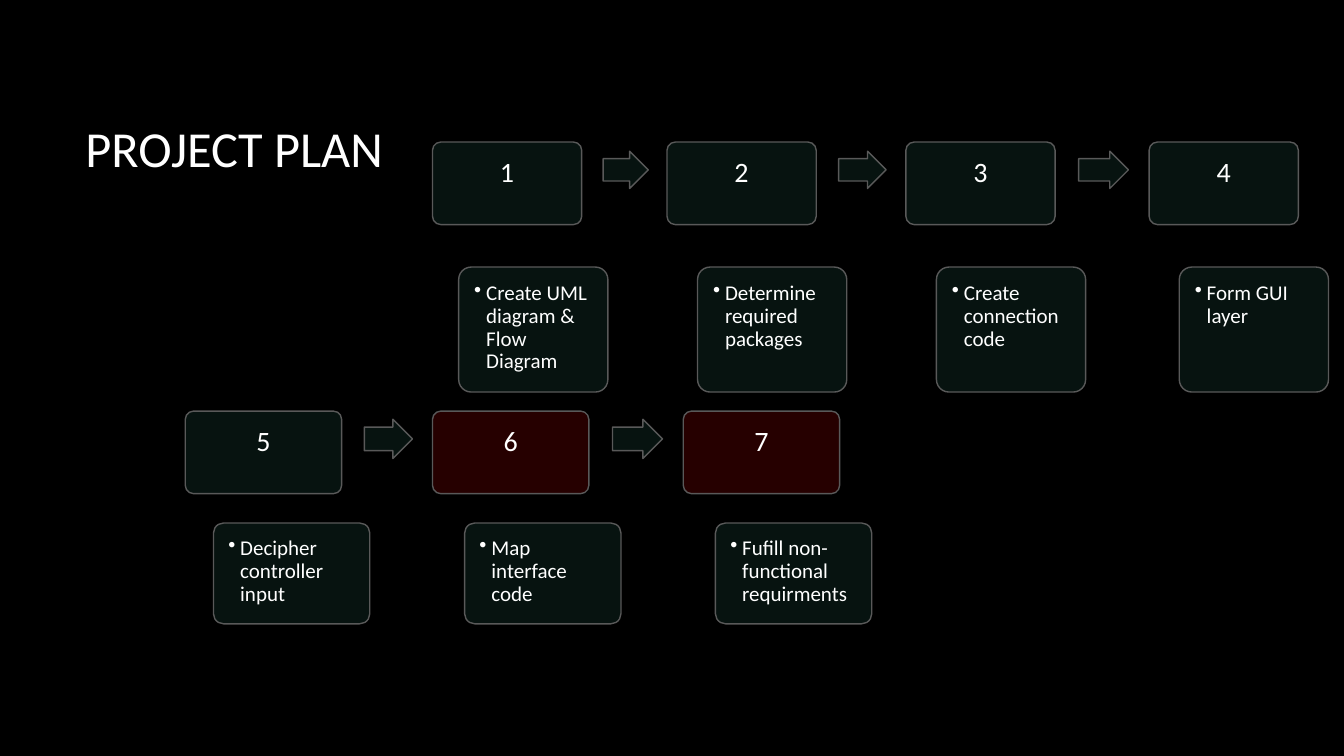
from lxml import etree
from pptx import Presentation
from pptx.dml.color import RGBColor
from pptx.enum.shapes import MSO_SHAPE
from pptx.enum.text import MSO_ANCHOR, PP_ALIGN
from pptx.oxml.ns import qn
from pptx.util import Cm, Pt

ROUNDED, ARROW = MSO_SHAPE.ROUNDED_RECTANGLE, MSO_SHAPE.RIGHT_ARROW
TOP, MIDDLE = MSO_ANCHOR.TOP, MSO_ANCHOR.MIDDLE
LEFT, CENTER = PP_ALIGN.LEFT, PP_ALIGN.CENTER

BLACK = RGBColor(0x00, 0x00, 0x00)
WHITE = RGBColor(0xFF, 0xFF, 0xFF)
GREEN = RGBColor(0x34, 0x86, 0x72)
RED = RGBColor(0xFF, 0x00, 0x00)
GREY = RGBColor(0x59, 0x59, 0x59)

FONT = "Calibri"
OPACITY = 15
ARROW_CENTER = 0.7
HEAD_HEIGHT = 2.08

ROWS = [
    {
        "top": 3.58, "width": 3.76, "arrow_height": 0.94,
        "detail_top": 6.73, "detail_height": 3.15,
        "steps": [
            ("1", "Create UML diagram & Flow Diagram", 10.9, 11.56, GREEN),
            ("2", "Determine required packages", 16.81, 17.58, GREEN),
            ("3", "Create connection code", 22.83, 23.6, GREEN),
            ("4", "Form GUI layer", 28.96, 29.72, GREEN),
        ],
    },
    {
        "top": 10.36, "width": 3.94, "arrow_height": 0.99,
        "detail_top": 13.18, "detail_height": 2.54,
        "steps": [
            ("5", "Decipher controller input", 4.67, 5.38, GREEN),
            ("6", "Map interface code", 10.9, 11.71, RED),
            ("7", "Fufill non-functional requirments", 17.22, 18.03, RED),
        ],
    },
]


def write_text(shape, text, size, align=LEFT, anchor=TOP, margin=None,
               spacing=None, indent=None):
    frame = shape.text_frame
    frame.word_wrap = True
    frame.vertical_anchor = anchor
    if margin is not None:
        frame.margin_left = frame.margin_right = Cm(margin)
        frame.margin_top = frame.margin_bottom = Cm(margin)
    paragraph = frame.paragraphs[0]
    paragraph.alignment = align
    if spacing is not None:
        paragraph.line_spacing = spacing
    if indent is not None:
        properties = paragraph._p.get_or_add_pPr()
        properties.set("marL", str(Cm(indent)))
        properties.set("indent", str(-Cm(indent)))
        etree.SubElement(properties, qn("a:buChar"), char="•")
    run = paragraph.add_run()
    run.text = text
    run.font.name = FONT
    run.font.size = Pt(size)
    run.font.color.rgb = WHITE


def add_panel(group, kind, left, top, width, height, color, adjustments):
    shape = group.shapes.add_shape(kind, Cm(left), Cm(top), Cm(width), Cm(height))
    shape.shadow.inherit = False
    for index, value in enumerate(adjustments):
        shape.adjustments[index] = value
    shape.fill.solid()
    shape.fill.fore_color.rgb = color
    fill_color = shape.element.spPr.find(qn("a:solidFill")).find(qn("a:srgbClr"))
    etree.SubElement(fill_color, qn("a:alpha"), val=str(OPACITY * 1000))
    shape.line.color.rgb = GREY
    shape.line.width = Pt(1)
    return shape


def add_step(group, row, number, detail, left, detail_left, color):
    head = add_panel(group, ROUNDED, left, row["top"], row["width"],
                     HEAD_HEIGHT, color, [0.1])
    write_text(head, number, 20, align=CENTER, margin=0.35, spacing=0.9)
    box = add_panel(group, ROUNDED, detail_left, row["detail_top"], row["width"],
                    row["detail_height"], GREEN, [0.1])
    write_text(box, detail, 15, margin=0.3, spacing=0.9, indent=0.3)


def add_step_arrow(group, row, left, next_left):
    start = left + row["width"]
    gap = next_left - start
    height = row["arrow_height"]
    top = row["top"] + ARROW_CENTER - height / 2
    add_panel(group, ARROW, start + 0.25 * gap, top, 0.53 * gap, height,
              GREEN, [0.6, 0.5])


def add_row(slide, row):
    group = slide.shapes.add_group_shape()
    for step in row["steps"]:
        add_step(group, row, *step)
    lefts = [step[2] for step in row["steps"]]
    for left, next_left in zip(lefts, lefts[1:]):
        add_step_arrow(group, row, left, next_left)


def add_title(slide, text):
    title = slide.shapes.title
    title.left, title.top = Cm(1.9), Cm(1.7)
    title.width, title.height = Cm(28.15), Cm(4.04)
    write_text(title, text, 36, anchor=MIDDLE)


def main():
    presentation = Presentation()
    presentation.slide_width = Cm(33.87)
    presentation.slide_height = Cm(19.05)
    slide = presentation.slides.add_slide(presentation.slide_layouts[5])
    slide.background.fill.solid()
    slide.background.fill.fore_color.rgb = BLACK
    add_title(slide, "PROJECT PLAN")
    for row in ROWS:
        add_row(slide, row)
    presentation.save("out.pptx")


if __name__ == "__main__":
    main()
